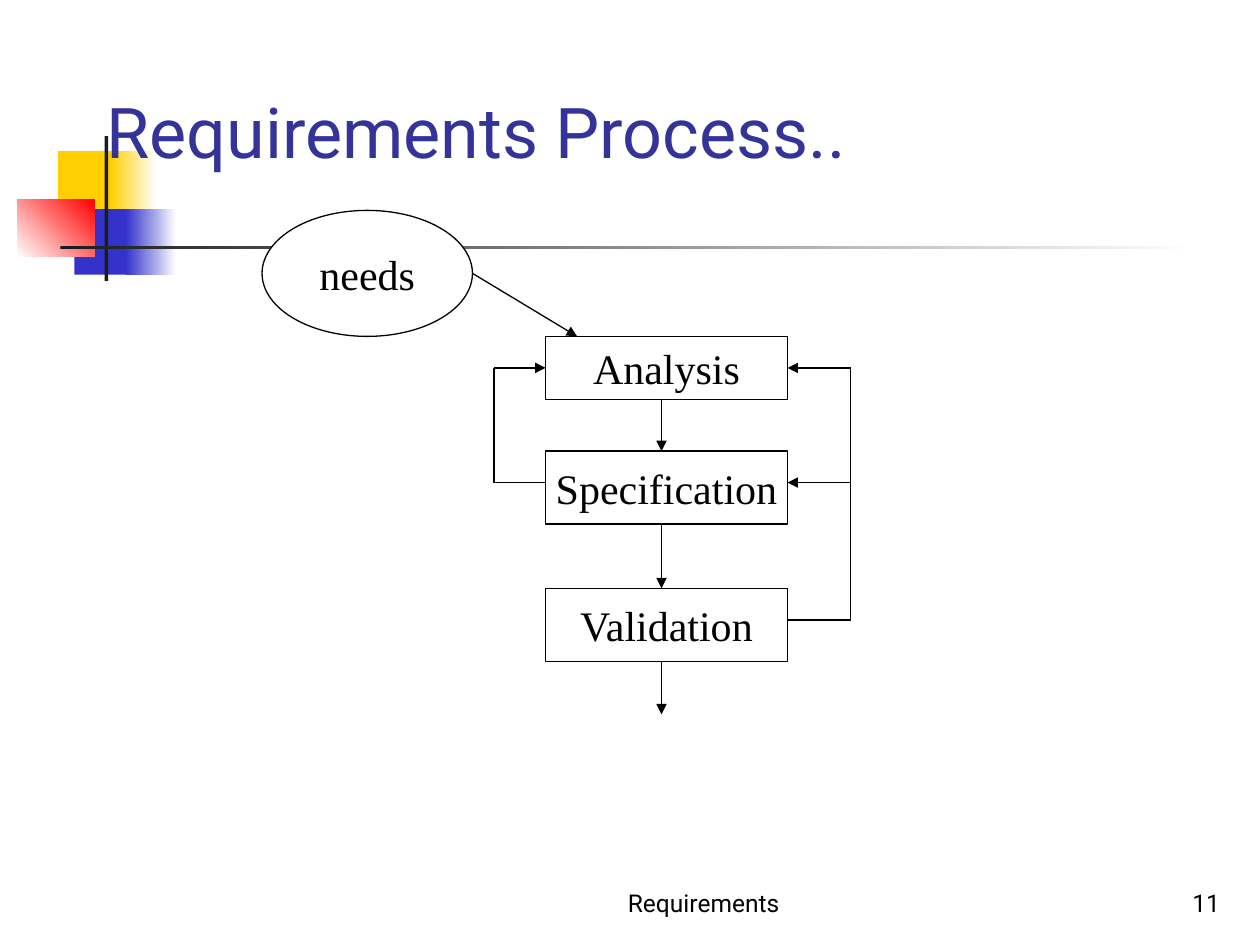
from lxml import etree
from pptx import Presentation
from pptx.dml.color import RGBColor
from pptx.enum import shapes, text
from pptx.oxml.ns import qn
from pptx.util import Inches, Pt

COLORS = {"black": "000000", "white": "FFFFFF", "title": "333399", "yellow": "FFCF01",
          "blue": "3333CC", "red": "FF0000", "charcoal": "1C1C1C"}
RECTANGLE, OVAL = shapes.MSO_SHAPE.RECTANGLE, shapes.MSO_SHAPE.OVAL
ALIGN, ANCHOR = text.PP_ALIGN, text.MSO_ANCHOR

DECORATIONS = [
    ((0.46, 1.2, 0.48, 0.52), ["yellow"], 0),
    ((0.88, 1.2, 0.36, 0.52), ["yellow", "white"], 0),
    ((0.59, 1.66, 0.46, 0.52), ["blue"], 0),
    ((1, 1.66, 0.4, 0.52), ["blue", "white"], 0),
    ((0.14, 1.58, 0.61, 0.46), ["white", "red"], 45),
    ((0.83, 1.08, 0.03, 1.15), ["charcoal"], 0),
    ((0.48, 1.95, 9, 0.03), ["charcoal", "white"], 0),
]
LABELS = [
    ("Requirements", (4, 6.83, 3.17, 0.5), 14, "black", ALIGN.CENTER),
    ("11", (7.7, 6.83, 2.08, 0.5), 14, "black", ALIGN.RIGHT),
    ("Requirements Process..", (0.75, 0.42, 8.5, 1), 40, "title", ALIGN.LEFT),
]
BOX_LEFT, BOX_WIDTH = 4.33, 1.92
BOX_RIGHT = BOX_LEFT + BOX_WIDTH
STEPS = [("Analysis", 2.67, 0.5), ("Specification", 3.58, 0.58), ("Validation", 4.67, 0.58)]
NEEDS = (2.08, 1.67, 1.67, 1)
FLOW_X, FLOW_END = 5.25, 5.67
LEFT_LOOP_X, RIGHT_LOOP_X = 3.92, 6.75
ANALYSIS_Y, SPECIFICATION_Y, VALIDATION_Y = (top + 0.25 for _, top, _ in STEPS)

LOOPS = [
    [(BOX_LEFT, SPECIFICATION_Y), (LEFT_LOOP_X, SPECIFICATION_Y),
     (LEFT_LOOP_X, ANALYSIS_Y), (BOX_LEFT, ANALYSIS_Y)],
    [(BOX_RIGHT, VALIDATION_Y), (RIGHT_LOOP_X, VALIDATION_Y),
     (RIGHT_LOOP_X, ANALYSIS_Y), (BOX_RIGHT, ANALYSIS_Y)],
    [(RIGHT_LOOP_X, SPECIFICATION_Y), (BOX_RIGHT, SPECIFICATION_Y)],
]


def color(name):
    return RGBColor.from_string(COLORS[name])


def write(shape, content, size=24, font="Times New Roman", ink="black",
          align=ALIGN.CENTER, anchor=ANCHOR.MIDDLE, wrap=False):
    frame = shape.text_frame
    frame.word_wrap = wrap
    frame.vertical_anchor = anchor
    paragraph = frame.paragraphs[0]
    paragraph.alignment = align
    run = paragraph.add_run()
    run.text = content
    run.font.size, run.font.name = Pt(size), font
    run.font.color.rgb = color(ink)


def add_block(slide, kind, place, fills, angle=0, outlined=False):
    shape = slide.shapes.add_shape(kind, *map(Inches, place))
    shape.shadow.inherit = False
    if len(fills) == 1:
        shape.fill.solid()
        shape.fill.fore_color.rgb = color(fills[0])
    else:
        shape.fill.gradient()
        shape.fill.gradient_angle = angle
        for stop, name in zip(shape.fill.gradient_stops, fills):
            stop.color.rgb = color(name)
    if outlined:
        shape.line.color.rgb = color("black")
        shape.line.width = Pt(0.75)
    else:
        shape.line.fill.background()
    return shape


def add_line(slide, start, end, arrow=True):
    line = slide.shapes.add_connector(shapes.MSO_CONNECTOR.STRAIGHT, *map(Inches, start + end))
    line.line.color.rgb = color("black")
    line.line.width = Pt(0.75)
    if arrow:
        etree.SubElement(line.line._get_or_add_ln(), qn("a:tailEnd"), type="triangle")
    etree.SubElement(line._element.spPr, qn("a:effectLst"))


def main():
    presentation = Presentation()
    presentation.slide_width, presentation.slide_height = Inches(10), Inches(7.5)
    slide = presentation.slides.add_slide(presentation.slide_layouts[6])

    for place, fills, angle in DECORATIONS:
        add_block(slide, RECTANGLE, place, fills, angle)
    for content, place, size, ink, align in LABELS:
        box = slide.shapes.add_textbox(*map(Inches, place))
        write(box, content, size=size, font="Roboto", ink=ink, align=align,
              anchor=ANCHOR.BOTTOM, wrap=True)

    write(add_block(slide, OVAL, NEEDS, ["white"], outlined=True), "needs")
    for name, top, height in STEPS:
        place = (BOX_LEFT, top, BOX_WIDTH, height)
        write(add_block(slide, RECTANGLE, place, ["white"], outlined=True), name)

    next_tops = [top for _, top, _ in STEPS[1:]] + [FLOW_END]
    for (_, top, height), next_top in zip(STEPS, next_tops):
        add_line(slide, (FLOW_X, top + height), (FLOW_X, next_top))
    left, top, width, height = NEEDS
    add_line(slide, (left + width, top + height / 2), (BOX_LEFT + 0.25, STEPS[0][1]))
    for points in LOOPS:
        for start, end in zip(points, points[1:]):
            add_line(slide, start, end, arrow=end == points[-1])

    presentation.save("out.pptx")


if __name__ == "__main__":
    main()
